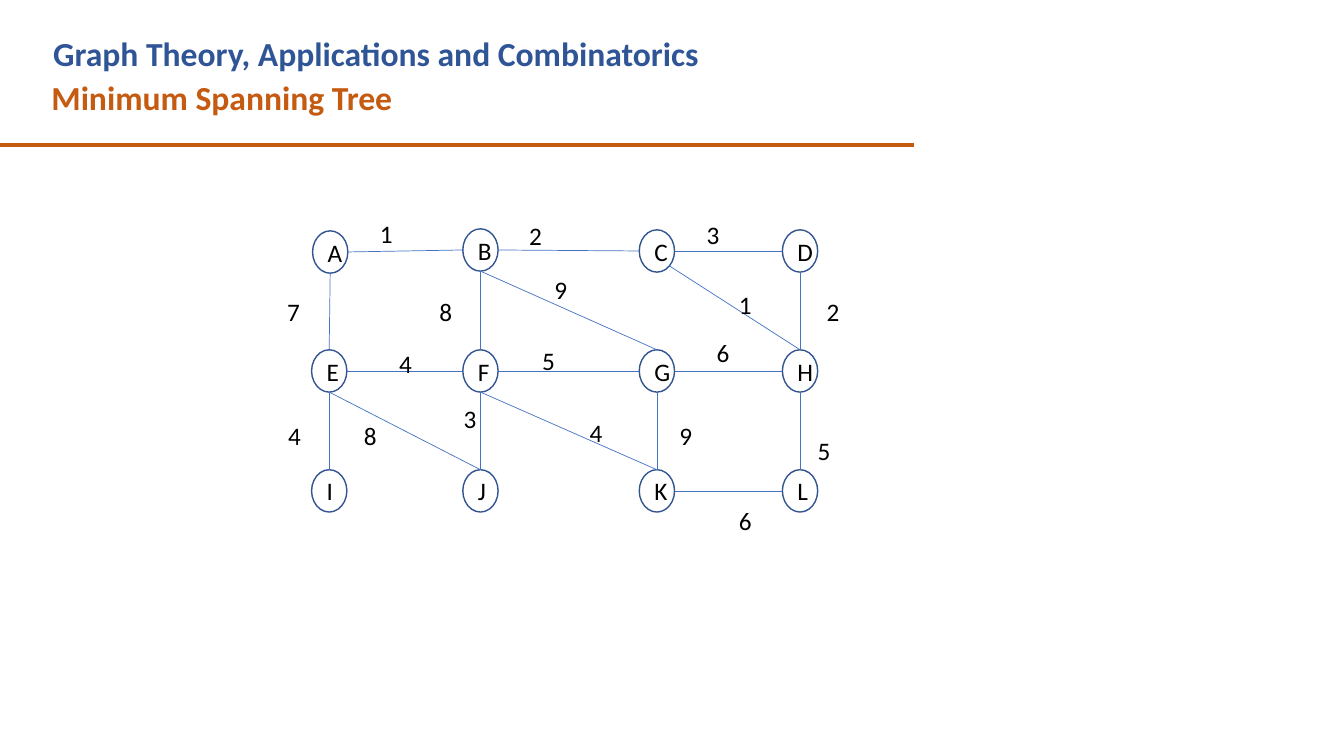
import pptx
import pptx.util
import pptx.dml.color
import pptx.enum.shapes
import pptx.enum.text
import pptx.oxml.ns
import lxml.etree
import dataclasses

Inches = pptx.util.Inches
Align = pptx.enum.text.PP_ALIGN
Anchor = pptx.enum.text.MSO_ANCHOR
Fit = pptx.enum.text.MSO_AUTO_SIZE


@dataclasses.dataclass(frozen=True)
class Theme:
    font: str = "Calibri"
    blue: str = "2F5597"
    rust: str = "C55A11"
    ring: str = "325491"
    edge: str = "4472C4"
    ink: str = "000000"
    head: int = 24
    body: int = 18


THEME = Theme()
WIDE, HIGH = 13.33, 7.5
COLS = (3.09, 4.59, 6.34, 7.76)
ROWS = (2.28, 3.47, 4.66)
NODE_W, NODE_H = 0.35, 0.42
NODES = ("ABCD", "EFGH", "IJKL")
NUDGE = {"A": (0.01, 0.01), "B": (0, -0.01)}
# Where an edge leaves or meets a node, as shares of the node's box
SIDES = {"left": (0, 0.5), "right": (1, 0.5), "top": (0.5, 0),
         "bottom": (0.5, 1), "corner": (0.85, 0.85)}
ACROSS, DOWN, SLANT = ("right", "left"), ("bottom", "top"), ("corner", "top")
# Ends, sides, weight, then left, top and width of the weight's label
EDGES = (
    ("AB", ACROSS, 1, 3.67, 2.12, 0.56),
    ("BC", ACROSS, 2, 5.15, 2.14, 0.84),
    ("CD", ACROSS, 3, 6.91, 2.13, 0.66),
    ("DH", DOWN, 2, 8.1, 2.89, 0.53),
    ("GH", ACROSS, 6, 7.01, 3.3, 0.4),
    ("CH", SLANT, 1, 7.23, 2.82, 0.4),
    ("BG", DOWN, 9, 5.4, 2.67, 0.59),
    ("FG", ACROSS, 5, 5.28, 3.38, 0.47),
    ("EF", ACROSS, 4, 3.86, 3.41, 0.48),
    ("AE", DOWN, 7, 2.75, 2.89, 0.61),
    ("BF", DOWN, 8, 4.26, 2.89, 0.49),
    ("EI", DOWN, 4, 2.76, 4.12, 0.51),
    ("FJ", DOWN, 3, 4.5, 3.95, 0.26),
    ("EJ", DOWN, 8, 3.51, 4.12, 0.35),
    ("GK", DOWN, 9, 6.64, 4.12, 0.35),
    ("FK", DOWN, 4, 5.75, 4.09, 0.43),
    ("KL", ACROSS, 6, 7.23, 4.96, 0.4),
    ("HL", DOWN, 5, 8.01, 4.27, 0.45),
)


def paint(code):
    return pptx.dml.color.RGBColor.from_string(code)


def assign(thing, form):
    for name, value in form.items():
        setattr(thing, name, value)


def write(shape, text, size, color, bold=False, align=Align.LEFT,
          anchor=Anchor.TOP, fit=Fit.SHAPE_TO_FIT_TEXT):
    frame = shape.text_frame
    frame.text = text
    assign(frame, {"word_wrap": True, "auto_size": fit,
                   "vertical_anchor": anchor})
    para = frame.paragraphs[0]
    assign(para, {"alignment": align, "line_spacing": 1.0})
    font = para.runs[0].font
    assign(font, {"name": THEME.font, "size": pptx.util.Pt(size),
                  "bold": bold})
    font.color.rgb = paint(color)


def label(shapes, text, left, top, width, height, size, color, bold=False):
    box = shapes.add_textbox(*map(Inches, (left, top, width, height)))
    write(box, text, size, color, bold)


def line(shapes, start, end, color, weight):
    kind = pptx.enum.shapes.MSO_CONNECTOR.STRAIGHT
    link = shapes.add_connector(kind, *map(Inches, (*start, *end)))
    link.line.width = pptx.util.Pt(weight)
    link.line.color.rgb = paint(color)
    props = link._element.spPr
    lxml.etree.SubElement(props, pptx.oxml.ns.qn("a:effectLst"))


def node(shapes, name, left, top):
    kind = pptx.enum.shapes.MSO_SHAPE.OVAL
    oval = shapes.add_shape(kind, *map(Inches, (left, top, NODE_W, NODE_H)))
    oval.shadow.inherit = False
    oval.fill.background()
    oval.line.width = pptx.util.Pt(1)
    oval.line.color.rgb = paint(THEME.ring)
    write(oval, name, THEME.body, THEME.ink, align=Align.CENTER,
          anchor=Anchor.MIDDLE, fit=Fit.NONE)


def places():
    """Map each node's name to the left and top of its box."""
    spots = {}
    for top, names in zip(ROWS, NODES):
        for left, name in zip(COLS, names):
            right, down = NUDGE.get(name, (0, 0))
            spots[name] = (left + right, top + down)
    return spots


def port(spot, side):
    """Find the point on a node where an edge is tied."""
    across, down = SIDES[side]
    return spot[0] + across * NODE_W, spot[1] + down * NODE_H


def graph(slide):
    shapes = slide.shapes.add_group_shape().shapes
    spots = places()
    for name, spot in spots.items():
        node(shapes, name, *spot)
    for ends, sides, *_ in EDGES:
        start, end = (port(spots[n], s) for n, s in zip(ends, sides))
        line(shapes, start, end, THEME.edge, 0.5)
    for _, _, weight, left, top, width in EDGES:
        label(shapes, str(weight), left, top, width, 0.4,
              THEME.body, THEME.ink)


def header(slide):
    title = slide.shapes.title
    assign(title, {"left": Inches(0.41), "top": Inches(0.71),
                   "width": Inches(8.75), "height": Inches(0.5)})
    write(title, "Minimum Spanning Tree", THEME.head, THEME.rust, True)
    line(slide.shapes, (0, 1.44), (WIDE * 0.68, 1.44), THEME.rust, 3)
    label(slide.shapes, "Graph Theory, Applications and Combinatorics",
          0.43, 0.28, 8.2, 0.5, THEME.head, THEME.blue, True)


def main():
    deck = pptx.Presentation()
    assign(deck, {"slide_width": Inches(WIDE), "slide_height": Inches(HIGH)})
    slide = deck.slides.add_slide(deck.slide_layouts[5])
    header(slide)
    graph(slide)
    deck.save("out.pptx")


if __name__ == "__main__":
    main()
